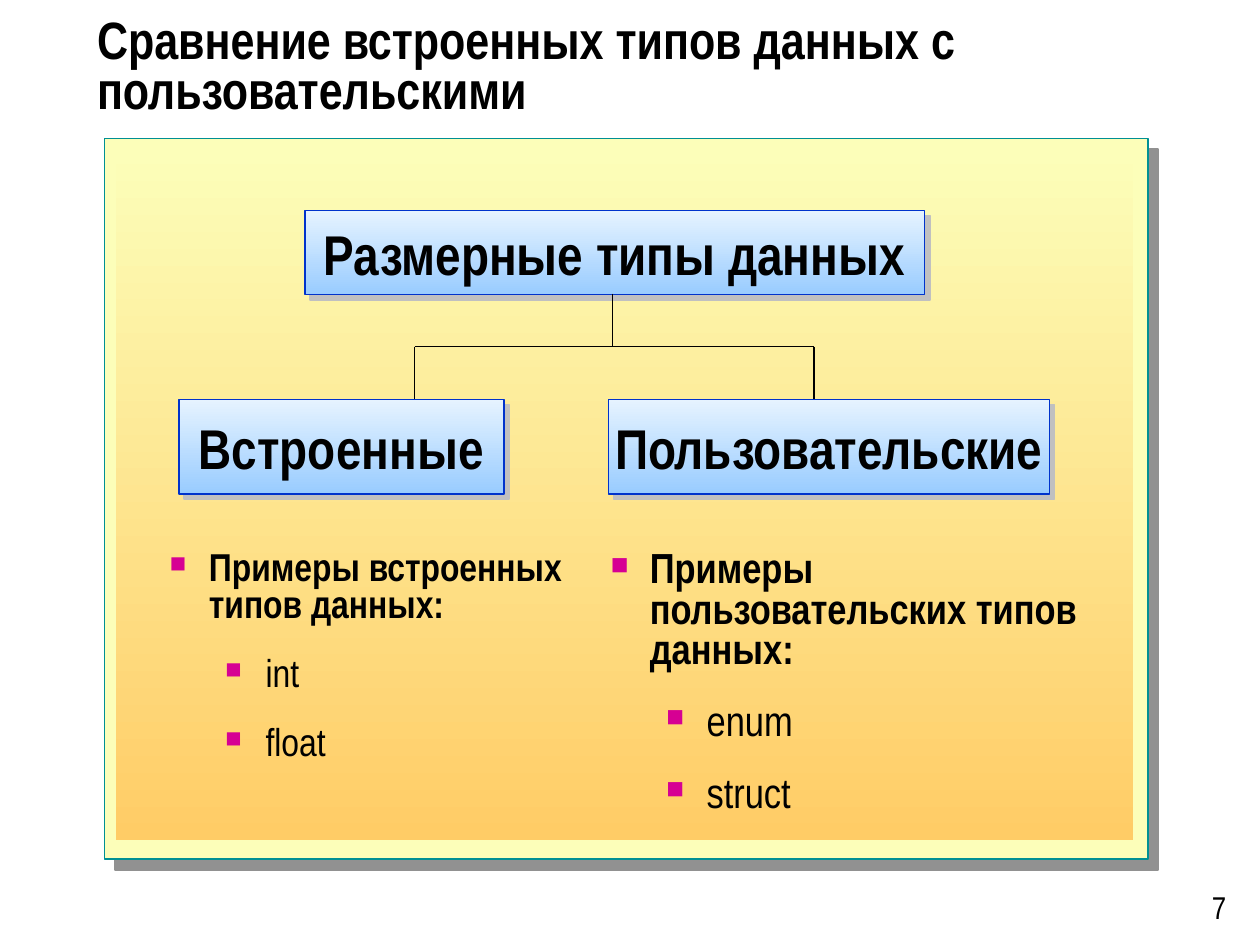
"""Build a slide that compares built-in and user-defined value types."""
from lxml.etree import SubElement
from pptx import Presentation
from pptx.dml.color import RGBColor
from pptx.enum.shapes import MSO_CONNECTOR as Connector, MSO_SHAPE as Shape
from pptx.enum.text import MSO_ANCHOR as Anchor, MSO_AUTO_SIZE as AutoSize, PP_ALIGN as Align
from pptx.oxml.ns import qn
from pptx.util import Inches, Pt

BLACK = RGBColor(0x00, 0x00, 0x00)
CREAM = RGBColor(0xFC, 0xFE, 0xB9)
ORANGE = RGBColor(0xFF, 0xCC, 0x66)
TEAL = RGBColor(0x00, 0x90, 0x94)
PALE_BLUE = RGBColor(0xE6, 0xF3, 0xFF)
SKY_BLUE = RGBColor(0x99, 0xCC, 0xFF)
BLUE = RGBColor(0x00, 0x33, 0xCC)
MAGENTA = RGBColor(0xD6, 0x00, 0x93)
GRAY = RGBColor(0x91, 0x91, 0x91)
SILVER = RGBColor(0xC0, 0xC0, 0xC0)

INDENTS = ((0.31, -0.31), (0.76, -0.32))
TYPE_BOXES = (
    ("Пользовательские", (4.83, 3.17, 3.5, 0.75)),
    ("Размерные типы данных", (2.42, 1.67, 4.92, 0.67)),
    ("Встроенные", (1.42, 3.17, 2.58, 0.75)),
)
EXAMPLES = (
    ((1.25, 4.33, 3.33, 2.17), 22.2, "Примеры встроенных типов данных:", ("int", "float")),
    ((4.75, 4.33, 4.27, 2.33), 24, "Примеры пользовательских типов данных:", ("enum", "struct")),
)
TRUNK_X, LEFT_X, RIGHT_X = 4.86, 3.29, 6.46
ROOT_Y, FORK_Y, BRANCH_Y = 2.33, 2.75, 3.17


def apply(target, values):
    for name, value in values.items():
        setattr(target, name, value)


def add_child(parent, tag, **attributes):
    return SubElement(parent, qn(tag), attributes)


class SlidePainter:
    """Holds the text style and the current slide."""

    def __init__(self, page, font="Arial Narrow"):
        self.page = page
        self.font = font

    def add_text(self, para, text, size, bold=False, **layout):
        span = para.add_run()
        span.text = text
        apply(span.font, {"name": self.font, "size": Pt(size), "bold": bold})
        span.font.color.rgb = BLACK
        apply(para, layout)

    def title(self, text, frame):
        box = self.page.shapes.title
        apply(box, dict(zip(("left", "top", "width", "height"), map(Inches, frame))))
        apply(box.text_frame, {
            "vertical_anchor": Anchor.MIDDLE,
            "auto_size": AutoSize.NONE,
            "word_wrap": True,
            "margin_bottom": Inches(0.45),
        })
        self.add_text(box.text_frame.paragraphs[0], text, 30, True,
                      alignment=Align.LEFT, line_spacing=0.8)

    def panel(self, frame, colors, line=None, width=1, shadow=None, distance=0):
        box = self.page.shapes.add_shape(Shape.RECTANGLE, *map(Inches, frame))
        box.shadow.inherit = False
        if len(colors) == 1:
            box.fill.solid()
            box.fill.fore_color.rgb = colors[0]
        else:
            box.fill.gradient()
            box.fill.gradient_angle = 270
            for stop, color in zip(box.fill.gradient_stops, colors):
                stop.color.rgb = color
        if line is None:
            box.line.fill.background()
        else:
            box.line.color.rgb = line
            box.line.width = Pt(width)
        if shadow is not None:
            effects = box._element.spPr.find(qn("a:effectLst"))
            outer = add_child(effects, "a:outerShdw", blurRad="0", dist=str(Pt(distance)),
                              dir="2700000", algn="ctr", rotWithShape="0")
            add_child(outer, "a:srgbClr", val=str(shadow))
        return box

    def type_box(self, text, frame):
        box = self.panel(frame, (PALE_BLUE, SKY_BLUE), BLUE, 0.75, SILVER, 4.2)
        apply(box.text_frame, {
            "vertical_anchor": Anchor.MIDDLE,
            "word_wrap": False,
            "margin_top": Inches(0.03),
            "margin_bottom": Inches(0.03),
        })
        self.add_text(box.text_frame.paragraphs[0], text, 32, True, alignment=Align.CENTER)

    def text_box(self, frame):
        box = self.page.shapes.add_textbox(*map(Inches, frame))
        box.text_frame.word_wrap = True
        return box.text_frame

    def bullet(self, para, text, size, level):
        self.add_text(para, text, size, level == 0, level=level,
                      line_spacing=0.8, space_before=Pt(18))
        props = para._p.get_or_add_pPr()
        for name, length in zip(("marL", "indent"), INDENTS[level]):
            props.set(name, str(Inches(length)))
        add_child(add_child(props, "a:buClr"), "a:srgbClr", val=str(MAGENTA))
        add_child(props, "a:buSzPct", val="70000")
        add_child(props, "a:buFont", typeface=self.font)
        add_child(props, "a:buChar", char="■")

    def examples(self, frame, size, heading, names):
        body = self.text_box(frame)
        self.bullet(body.paragraphs[0], heading, size, 0)
        for name in names:
            self.bullet(body.add_paragraph(), name, size, 1)

    def line(self, *ends):
        link = self.page.shapes.add_connector(Connector.STRAIGHT, *map(Inches, ends))
        link.line.color.rgb = BLACK
        link.line.width = Pt(0.75)
        add_child(link._element.spPr, "a:effectLst")

    def page_number(self, text, frame):
        para = self.text_box(frame).paragraphs[0]
        self.add_text(para, text, 18, alignment=Align.RIGHT)


def main():
    deck = Presentation()
    apply(deck, {"slide_width": Inches(10), "slide_height": Inches(7.5)})
    painter = SlidePainter(deck.slides.add_slide(deck.slide_layouts[5]))

    painter.panel((0.83, 1.1, 8.28, 5.72), (CREAM,), TEAL, 1, GRAY, 8.5)
    painter.panel((0.92, 1.17, 8.07, 5.5), (CREAM, ORANGE))
    painter.title("Сравнение встроенных типов данных с пользовательскими",
                  (0.67, 0.25, 8.96, 1))
    for example in EXAMPLES:
        painter.examples(*example)
    for text, frame in TYPE_BOXES:
        painter.type_box(text, frame)
    painter.line(LEFT_X, FORK_Y, RIGHT_X, FORK_Y)
    painter.line(TRUNK_X, ROOT_Y, TRUNK_X, FORK_Y)
    for branch_x in (LEFT_X, RIGHT_X):
        painter.line(branch_x, FORK_Y, branch_x, BRANCH_Y)
    painter.page_number("7", (9, 7, 0.83, 0.4))
    deck.save("out.pptx")


if __name__ == "__main__":
    main()
